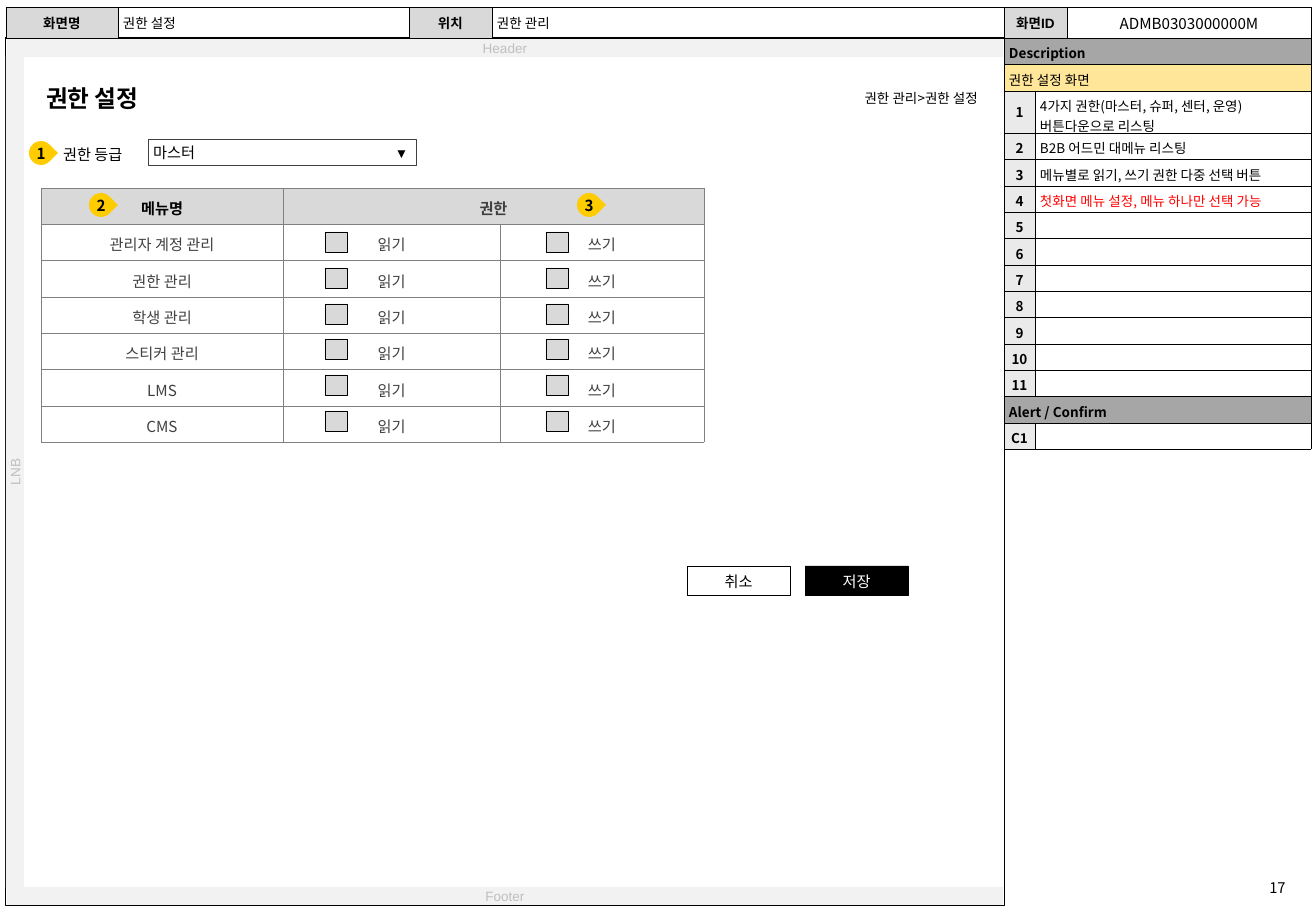
"""Build the permission settings screen specification slide."""
from lxml import etree
from pptx import Presentation
from pptx.dml.color import RGBColor
from pptx.enum.shapes import MSO_SHAPE
from pptx.enum.text import MSO_ANCHOR, MSO_AUTO_SIZE, PP_ALIGN
from pptx.oxml.ns import qn
from pptx.util import Pt

PX = 914400 / 121.5
LEFT, CENTER, RIGHT = PP_ALIGN.LEFT, PP_ALIGN.CENTER, PP_ALIGN.RIGHT
TOP, MIDDLE = MSO_ANCHOR.TOP, MSO_ANCHOR.MIDDLE
RECT, ROUND, DROP = MSO_SHAPE.RECTANGLE, MSO_SHAPE.ROUNDED_RECTANGLE, MSO_SHAPE.TEAR
ARIAL, NOTO = "Arial", "Noto Sans CJK KR"
COLORS = {
    "black": "000000", "white": "FFFFFF", "red": "FF0000", "yellow": "FFCC00",
    "cream": "FFE699", "strip": "F2F2F2", "strip_text": "BFBFBF", "section": "A6A6A6",
    "head": "D9D9D9", "number": "EAEAEA", "grid": "808080", "dark": "404040",
}

SCREEN_INFO = [("화면명", "권한 설정"), ("위치", "권한 관리"), ("화면ID", "ADMB0303000000M")]
INFO_COLUMNS = [112, 291, 83, 512, 63, 244]
STRIPS = [
    ("Footer", (7, 887, 996, 18), 0),
    ("Header", (7, 39, 996, 18), 0),
    ("LNB", (-401, 463, 832, 18), 270),
]
MENUS = ["관리자 계정 관리", "권한 관리", "학생 관리", "스티커 관리", "LMS", "CMS"]
MENU_COLUMNS = [242, 217, 204]
MENU_ROWS = [35] + [36] * len(MENUS)
CHECKBOX_LEFTS = [325, 546]
CHECKBOX_TOP, CHECKBOX_SPAN = 232, 179
DESCRIPTIONS = [
    "4가지 권한(마스터, 슈퍼, 센터, 운영) 버튼다운으로 리스팅",
    "B2B 어드민 대메뉴 리스팅",
    "메뉴별로 읽기, 쓰기 권한 다중 선택 버튼",
    "첫화면 메뉴 설정, 메뉴 하나만 선택 가능",
] + [""] * 7
DESCRIPTION_COLUMNS = [31, 276]
DESCRIPTION_HEIGHT, TALL_ROW, TALL_INDEX = 411, 42, 2
BADGES = [("1", 29, 141), ("2", 89, 193), ("3", 577, 193)]
BUTTONS = [("저장", 805, "black", "white"), ("취소", 687, "white", "black")]


def emu(px):
    return round(px * PX)


def rgb(name):
    return RGBColor.from_string(COLORS[name])


def write(frame, text, size, font=NOTO, color="black", bold=False, align=LEFT):
    paragraph = frame.paragraphs[0]
    paragraph.alignment = align
    if not text:
        end = etree.SubElement(paragraph._p, qn("a:endParaRPr"))
        end.set("sz", str(size * 100))
        return
    run = paragraph.add_run()
    run.text = text
    run.font.size = Pt(size)
    run.font.bold = bold
    run.font.name = font
    run.font.color.rgb = rgb(color)
    east_asian = etree.SubElement(run.font._element, qn("a:ea"))
    east_asian.set("typeface", NOTO)


def pad(frame, x, y, anchor):
    frame.margin_left = frame.margin_right = emu(x)
    frame.margin_top = frame.margin_bottom = emu(y)
    frame.vertical_anchor = anchor


def add_box(shapes, kind, box, fill=None, line=None, width=0.25):
    shape = shapes.add_shape(kind, *map(emu, box))
    shape.shadow.inherit = False
    if kind == ROUND:
        shape.adjustments[0] = 0
    if fill:
        shape.fill.solid()
        shape.fill.fore_color.rgb = rgb(fill)
    else:
        shape.fill.background()
    if line:
        shape.line.color.rgb = rgb(line)
        shape.line.width = Pt(width)
    else:
        shape.line.fill.background()
    return shape


def add_label(shapes, text, box, size, wrap=True, inset=(5, 5), **style):
    frame = shapes.add_textbox(*map(emu, box)).text_frame
    frame.word_wrap = wrap
    pad(frame, *inset, TOP)
    write(frame, text, size, **style)


def add_grid(slide, left, top, columns, rows):
    box = (left, top, sum(columns), sum(rows))
    table = slide.shapes.add_table(len(rows), len(columns), *map(emu, box)).table
    table.first_row = table.horz_banding = False
    for column, width in zip(table.columns, columns):
        column.width = emu(width)
    for row, height in zip(table.rows, rows):
        row.height = emu(height)
    return table


def fill_cell(cell, text, size, fill=None, border="black", inset=(5, 5), anchor=MIDDLE, **style):
    pad(cell, *inset, anchor)
    write(cell.text_frame, text, size, **style)
    properties = cell._tc.get_or_add_tcPr()
    for side in ("lnL", "lnR", "lnT", "lnB"):
        edge = etree.SubElement(properties, qn(f"a:{side}"), w=str(Pt(0.25)))
        solid = etree.SubElement(edge, qn("a:solidFill"))
        etree.SubElement(solid, qn("a:srgbClr"), val=COLORS[border])
    if fill:
        cell.fill.solid()
        cell.fill.fore_color.rgb = rgb(fill)
    else:
        cell.fill.background()


def add_screen_info(slide):
    info = add_grid(slide, 6, 7, INFO_COLUMNS, [31])
    for index, (name, value) in enumerate(SCREEN_INFO):
        is_id = index == len(SCREEN_INFO) - 1
        fill_cell(info.cell(0, 2 * index), name, 8, "head", inset=(5, 2),
                  font=ARIAL, bold=True, align=CENTER)
        fill_cell(info.cell(0, 2 * index + 1), value, 9 if is_id else 8, inset=(5, 2),
                  font=NOTO if is_id else ARIAL, align=CENTER if is_id else LEFT)


def add_menu_table(slide):
    menu = add_grid(slide, 41, 188, MENU_COLUMNS, MENU_ROWS)
    style = {"border": "grid", "inset": (9, 9), "align": CENTER}
    menu.cell(0, 1).merge(menu.cell(0, 2))
    for column, (text, color) in enumerate([("메뉴명", "black"), ("권한", "dark"), ("", "dark")]):
        fill_cell(menu.cell(0, column), text, 9, "head", color=color, bold=True, **style)
    for row, name in enumerate(MENUS, 1):
        for column, text in enumerate((name, "읽기", "쓰기")):
            fill_cell(menu.cell(row, column), text, 9, color="dark",
                      font=ARIAL if column else NOTO, **style)


def add_checkboxes(slide, left):
    for index in range(len(MENUS)):
        top = CHECKBOX_TOP + round(index * CHECKBOX_SPAN / (len(MENUS) - 1))
        add_box(slide.shapes, RECT, (left, top, 22, 20), "head", "black")


def add_descriptions(slide):
    rows = [("Description", None, "section"), ("권한 설정 화면", None, "cream")]
    rows += [(str(number), text, "number") for number, text in enumerate(DESCRIPTIONS, 1)]
    rows += [("Alert / Confirm", None, "section"), ("C1", "", "number")]
    heights = [(DESCRIPTION_HEIGHT - TALL_ROW) / (len(rows) - 1)] * len(rows)
    heights[TALL_INDEX] = TALL_ROW
    table = add_grid(slide, 1004, 38, DESCRIPTION_COLUMNS, heights)
    for row, (key, text, fill) in enumerate(rows):
        heading = text is None
        if heading:
            table.cell(row, 0).merge(table.cell(row, 1))
        fill_cell(table.cell(row, 0), key, 8, fill, bold=fill != "cream",
                  align=LEFT if heading else CENTER)
        fill_cell(table.cell(row, 1), text or "", 8, fill if heading else "white", anchor=TOP,
                  color="red" if key == "4" else "black")


def add_badge(slide, number, left, top):
    badge = slide.shapes.add_group_shape().shapes
    add_box(badge, DROP, (left, top, 24, 24), "yellow").rotation = 45
    add_label(badge, number, (left - 5, top - 3, 34, 30), 9, wrap=False, inset=(12, 6),
              bold=True, align=CENTER)


def main():
    deck = Presentation()
    deck.slide_width, deck.slide_height = emu(1316), emu(911)
    slide = deck.slides.add_slide(deck.slide_layouts[5])
    shapes = slide.shapes

    heading = shapes.title
    heading.left, heading.top, heading.width, heading.height = map(emu, (41, 79, 113, 39))
    heading.text_frame.word_wrap = False
    heading.text_frame.auto_size = MSO_AUTO_SIZE.NONE
    pad(heading.text_frame, 5, 5, TOP)
    write(heading.text_frame, "권한 설정", 14, bold=True)

    add_box(shapes, ROUND, (5, 37, 999, 868), line="black")
    add_label(shapes, "17", (1243, 873, 69, 32), 8.7, inset=(13, 6), align=CENTER)
    for text, box, rotation in STRIPS:
        strip = add_box(shapes, ROUND, box, "strip")
        strip.rotation = rotation
        pad(strip.text_frame, 0, 5, MIDDLE)
        write(strip.text_frame, text, 8, ARIAL, "strip_text", align=CENTER)
    add_screen_info(slide)
    add_label(shapes, "권한 관리>권한 설정", (700, 85, 283, 26), 8, align=RIGHT)
    add_menu_table(slide)

    grade = add_box(shapes, RECT, (148, 139, 268, 26), "white", "dark", 0.5)
    pad(grade.text_frame, 5, 5, MIDDLE)
    write(grade.text_frame, "마스터", 9, ARIAL)
    add_label(shapes, "▼", (390, 140, 33, 26), 8, font=ARIAL)
    add_label(shapes, "권한 등급", (58, 140, 90, 28), 9, font=ARIAL)

    for text, left, fill, color in BUTTONS:
        button = add_box(shapes, RECT, (left, 566, 103, 30), fill, "black", 0.5)
        pad(button.text_frame, 11, 6, MIDDLE)
        write(button.text_frame, text, 9, color=color, align=CENTER)
    add_descriptions(slide)
    for badge in BADGES:
        add_badge(slide, *badge)
    for left in CHECKBOX_LEFTS:
        add_checkboxes(slide, left)
    deck.save("out.pptx")


if __name__ == "__main__":
    main()
